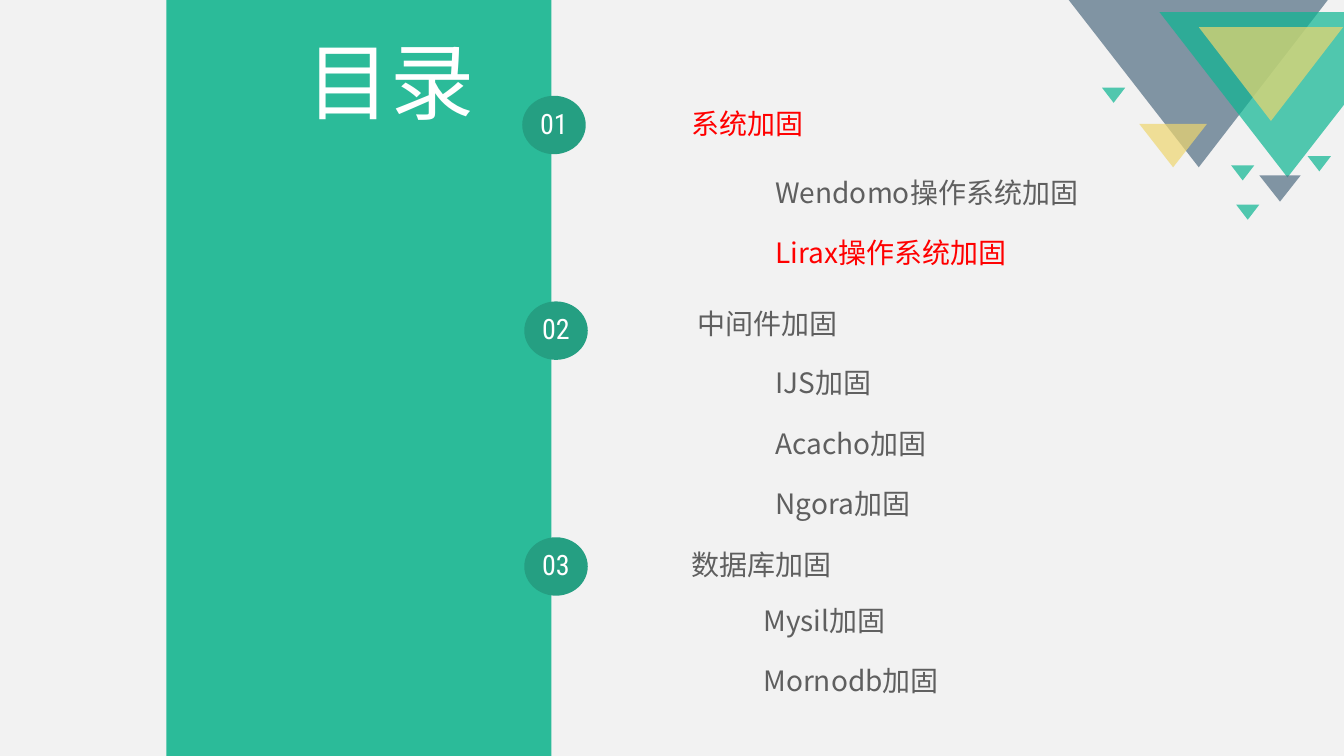
from dataclasses import dataclass

from lxml.etree import SubElement
from pptx import Presentation
from pptx.dml.color import RGBColor
from pptx.enum.shapes import MSO_SHAPE as Preset
from pptx.enum.text import MSO_ANCHOR as Anchor, MSO_AUTO_SIZE as AutoSize, PP_ALIGN as Align
from pptx.oxml.ns import qn
from pptx.util import Inches, Pt


@dataclass(frozen=True)
class Theme:
    paper: str = "F2F2F2"
    band: str = "2BBB99"
    badge: str = "259F82"
    slate: str = "516D82"
    teal: str = "0CB692"
    gold: str = "EED66F"
    white: str = "FFFFFF"
    text: str = "5F5F5F"
    active: str = "FF0000"
    title_size: int = 60
    text_size: int = 20
    item_gap: float = 21.5
    opacity: int = 70
    line_spacing: float = 0.9
    latin: str = "Roboto Condensed"
    chinese: str = "Noto Sans CJK SC"


THEME = Theme()

SECTIONS = [
    ("01", "系统加固", THEME.active, (5.18, 0.95), (6.76, 0.95)),
    ("02", "中间件加固", THEME.text, (5.2, 2.99), (6.82, 2.93)),
    ("03", "数据库加固", THEME.text, (5.2, 5.33), (6.76, 5.32)),
]

TOPICS = [
    (2, (7.59, 1.72, 4.4, 1.01), Anchor.MIDDLE,
     [("Wendomo操作系统加固", THEME.text), ("Lirax操作系统加固", THEME.active)]),
    (4, (7.59, 3.57, 4.63, 1.69), Anchor.MIDDLE,
     [("IJS加固", THEME.text), ("Acacho加固", THEME.text), ("Ngora加固", THEME.text)]),
    (1, (7.47, 5.97, 4.63, 1.5), Anchor.TOP,
     [("Mysil加固", THEME.text), ("Mornodb加固", THEME.text)]),
]

CLIPPED_TRIANGLES = [
    (THEME.slate, [(10.6, 0), (13.17, 0), (11.89, 1.66)]),
    (THEME.teal, [(11.5, 0.12), (13.33, 0.12), (13.33, 1.04), (12.77, 1.76)]),
]

TRIANGLES = [
    (THEME.gold, 11.89, 0.27, 1.43, 0.93),
    (THEME.gold, 11.3, 1.23, 0.67, 0.43),
    (THEME.slate, 12.49, 1.74, 0.41, 0.26),
]

SMALL_TRIANGLES = [(12.97, 1.55), (12.26, 2.03), (12.21, 1.64), (10.93, 0.87)]


def paint(shape, color, opacity=100):
    shape.shadow.inherit = False
    shape.fill.solid()
    shape.fill.fore_color.rgb = RGBColor.from_string(color)
    shape.line.fill.background()
    if opacity < 100:
        tint = shape.element.spPr.find(qn("a:solidFill"))[0]
        SubElement(tint, qn("a:alpha"), val=str(opacity * 1000))


def add_preset(page, preset, bounds, color, opacity=100):
    shape = page.shapes.add_shape(preset, *map(Inches, bounds))
    paint(shape, color, opacity)
    return shape


def add_triangle(page, color, *bounds):
    add_preset(page, Preset.ISOSCELES_TRIANGLE, bounds, color, THEME.opacity).rotation = 180


def add_clipped_triangle(page, color, points):
    corners = [(Inches(x), Inches(y)) for x, y in points]
    outline = page.shapes.build_freeform(*corners[0])
    outline.add_line_segments(corners[1:], close=True)
    paint(outline.convert_to_shape(), color, THEME.opacity)


def add_span(para, text, size, color, font):
    span = para.add_run()
    span.text = text
    span.font.size = Pt(size)
    span.font.bold = False
    span.font.name = font
    span.font.color.rgb = RGBColor.from_string(color)
    SubElement(span.font._element, qn("a:ea"), typeface=THEME.chinese)


def write(box, lines, size=THEME.text_size, font=THEME.chinese,
          align=Align.LEFT, anchor=Anchor.MIDDLE):
    frame = box.text_frame
    frame.word_wrap = True
    frame.auto_size = AutoSize.NONE
    frame.vertical_anchor = anchor
    for index, (text, color) in enumerate(lines):
        para = frame.add_paragraph() if index else frame.paragraphs[0]
        para.alignment = align
        para.line_spacing = THEME.line_spacing
        para.space_before = Pt(THEME.item_gap if index else 0)
        para.space_after = Pt(0)
        add_span(para, text, size, color, font)


def place(box, bounds):
    box.left, box.top, box.width, box.height = map(Inches, bounds)
    box.element.getparent().append(box.element)


def add_topics(page, slot, bounds, anchor, lines):
    box = page.placeholders[slot]
    place(box, bounds)
    write(box, lines, anchor=anchor)
    for para in box.text_frame.paragraphs:
        settings = para._p.get_or_add_pPr()
        settings.set("marL", "0")
        settings.set("indent", "0")
        SubElement(settings, qn("a:buNone"))


def add_section(page, number, heading, color, badge_at, heading_at):
    badge = add_preset(page, Preset.OVAL, (*badge_at, 0.63, 0.58), THEME.badge)
    frame = badge.text_frame
    frame.margin_left = frame.margin_right = frame.margin_top = frame.margin_bottom = 0
    write(badge, [(number, THEME.white)], font=THEME.latin, align=Align.CENTER)
    box = page.shapes.add_textbox(*map(Inches, (*heading_at, 4.31, 0.59)))
    write(box, [(heading, color)])


def main():
    deck = Presentation()
    deck.slide_width, deck.slide_height = Inches(13.33), Inches(7.5)
    page = deck.slides.add_slide(deck.slide_layouts.get_by_name("Comparison"))

    add_preset(page, Preset.RECTANGLE, (0, 0, 13.33, 7.5), THEME.paper)
    for color, points in CLIPPED_TRIANGLES:
        add_clipped_triangle(page, color, points)
    for triangle in TRIANGLES:
        add_triangle(page, *triangle)
    for left, top in SMALL_TRIANGLES:
        add_triangle(page, THEME.teal, left, top, 0.23, 0.15)

    add_preset(page, Preset.RECTANGLE, (1.65, 0, 3.82, 7.5), THEME.band)
    title = page.shapes.title
    place(title, (2.94, 0.28, 1.9, 1.16))
    write(title, [("目录", THEME.white)], THEME.title_size, THEME.latin)

    for section in SECTIONS:
        add_section(page, *section)
    for topics in TOPICS:
        add_topics(page, *topics)
    for box in list(page.placeholders):
        if not box.text_frame.text:
            box.element.getparent().remove(box.element)
    deck.save("out.pptx")


main()
